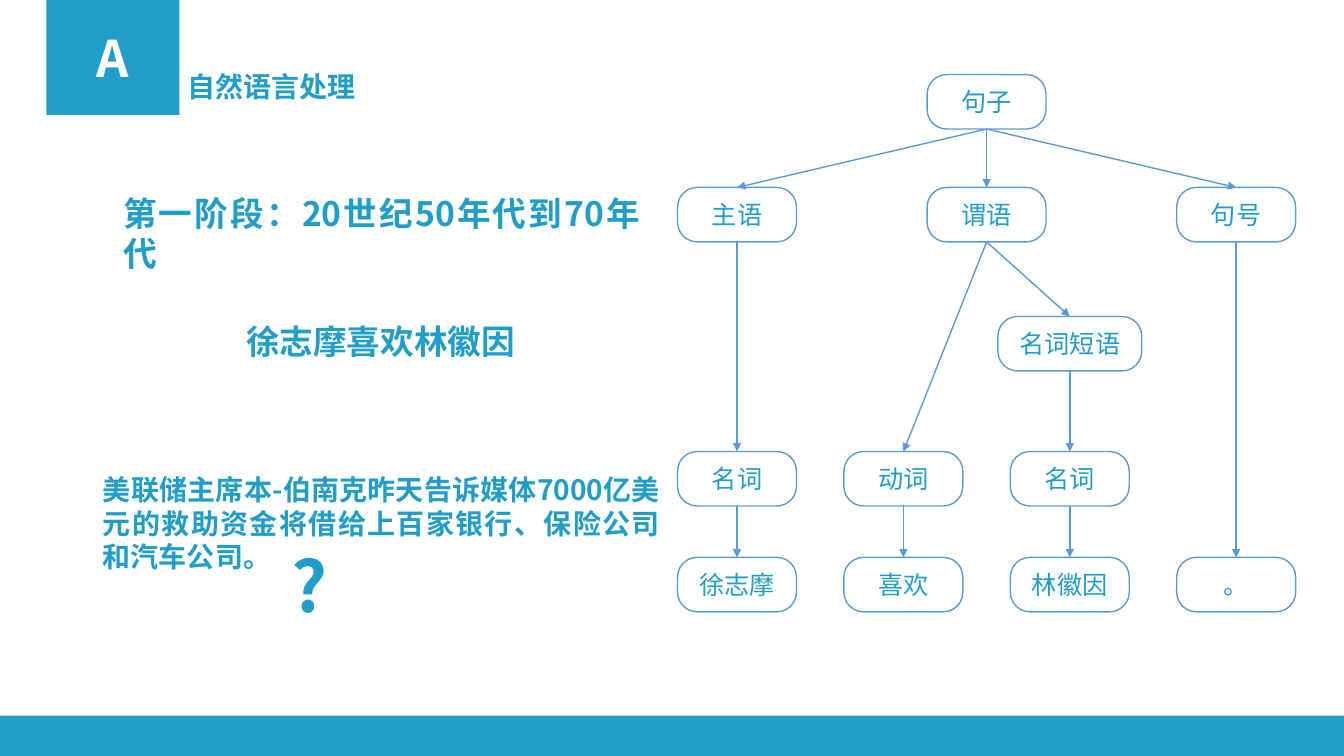
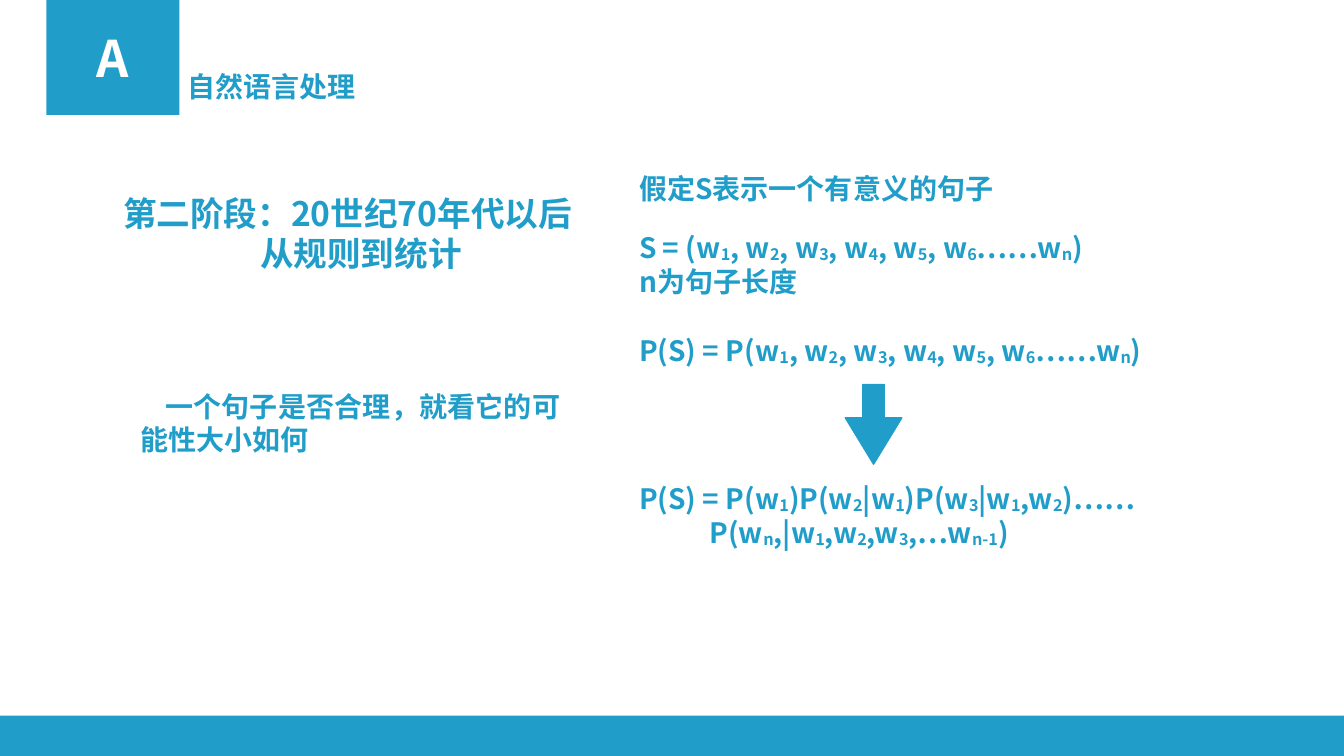
from dataclasses import dataclass

from lxml.etree import SubElement
from pptx import Presentation
from pptx.dml.color import RGBColor
from pptx.enum.shapes import MSO_CONNECTOR as Connector, MSO_SHAPE as Preset
from pptx.enum.text import MSO_ANCHOR as Anchor, MSO_AUTO_SIZE as AutoSize, PP_ALIGN as Align
from pptx.oxml.ns import qn
from pptx.util import Inches, Pt


@dataclass(frozen=True)
class Theme:
    blue: RGBColor = RGBColor(0x21, 0x9D, 0xC9)
    outline: RGBColor = RGBColor(0x5B, 0x9B, 0xD5)
    white: RGBColor = RGBColor(0xFF, 0xFF, 0xFF)
    font: str = "Noto Sans CJK SC"
    node_font: str = "Calibri"
    body: int = 20
    stage: int = 24
    badge: int = 36
    question: int = 50
    node: int = 18


theme = Theme()
presentation = Presentation()
presentation.slide_width, presentation.slide_height = Inches(13.33), Inches(7.5)


def share(left, top, width, height):
    """Turn percentages of the slide's size into lengths."""
    across, down = presentation.slide_width / 100, presentation.slide_height / 100
    return int(left * across), int(top * down), int(width * across), int(height * down)


def write(shape, lines, size=theme.body, color=theme.blue, align=Align.JUSTIFY,
          anchor=Anchor.TOP, bold=True, font=theme.font):
    """Write (text, left indent, first-line indent) lines; ~x~ lowers x."""
    frame = shape.text_frame
    settings = {"word_wrap": True, "auto_size": AutoSize.NONE, "vertical_anchor": anchor}
    settings |= {f"margin_{side}": Inches(0.05) for side in ("left", "top", "right", "bottom")}
    for name, value in settings.items():
        setattr(frame, name, value)
    for index, (text, left, first) in enumerate(lines):
        paragraph = frame.add_paragraph() if index else frame.paragraphs[0]
        properties = paragraph._p.get_or_add_pPr()
        properties.set("marL", str(Inches(left)))
        properties.set("indent", str(Inches(first)))
        SubElement(properties, qn("a:buNone"))
        paragraph.alignment, paragraph.space_before = align, Pt(0)
        for position, piece in enumerate(text.split("~")):
            run = paragraph.add_run()
            run.text = piece
            for name, value in {"size": Pt(size), "bold": bold, "name": font}.items():
                setattr(run.font, name, value)
            run.font.color.rgb = color
            run_properties = run._r.get_or_add_rPr()
            SubElement(run_properties, qn("a:ea"), typeface=theme.font)
            if position % 2:
                run_properties.set("baseline", "-6000")


# Content of each slide: stage heading, its width, and (lines, size, place) texts
sequence = "w~1~, w~2~, w~3~, w~4~, w~5~, w~6~……w~n~)"
formula_left, formula_width = 47.18, 44.33
pages = [
    ([("第一阶段：20世纪50年代到70年代", 0, 0)], 39.2, [
        ([("徐志摩喜欢林徽因", 0, 0)], theme.stage, (17.93, 41.73, 22, 7.5)),
        ([("美联储主席本-伯南克昨天告诉媒体7000亿美元的救助资金将借给上百家银行、"
           "保险公司和汽车公司。", 0, 0)], theme.body, (7.28, 61.87, 42.2, 17)),
        ([("?", 0, 0)], theme.question, (21.3, 71.07, 4.05, 12.4)),
    ]),
    ([("第二阶段：20世纪70年代以后", 0, 0), ("从规则到统计", 1.36, 0)], 34.6, [
        ([("一个句子是否合理，就看它的可能性大小如何", 0, 0.25)],
         theme.body, (10.05, 50.8, 32, 11.7)),
        ([("假定S表示一个有意义的句子", 0, 0)],
         theme.body, (formula_left, 22, formula_width, 6.5)),
        ([("S = (" + sequence, 0, 0), ("n为句子长度", 0, 0)],
         theme.body, (formula_left, 29.87, formula_width, 11)),
        ([("P(S) = P(" + sequence, 0, 0)],
         theme.body, (formula_left, 43.47, formula_width, 5.7)),
        ([("P(S) = P(w~1~)P(w~2~|w~1~)P(w~3~|w~1~,w~2~)……", 0, 0),
          ("P(w~n~,|w~1~,w~2~,w~3~,…w~n-1~)", 0.7, 0)],
         theme.body, (formula_left, 63.07, formula_width, 10.3)),
    ]),
]

slides = []
for stage_lines, stage_width, texts in pages:
    slide = presentation.slides.add_slide(presentation.slide_layouts[1])
    slides.append(slide)

    # Badge with the chapter letter
    badge = slide.shapes.add_shape(Preset.RECTANGLE, *share(3.45, 0, 9.9, 15.2))
    badge.shadow.inherit = False
    badge.fill.solid()
    badge.fill.fore_color.rgb = theme.blue
    badge.line.fill.background()
    write(badge, [("A", 0, 0)], theme.badge, theme.white, Align.CENTER, Anchor.MIDDLE)

    # Title and stage heading
    title, stage = slide.placeholders
    title.left, title.top, title.width, title.height = share(13.58, 8.53, 14.6, 6.5)
    write(title, [("自然语言处理", 0, 0)], align=Align.LEFT)
    stage.left, stage.top, stage.width, stage.height = share(8.78, 24.8, stage_width, 17)
    write(stage, stage_lines, theme.stage)

    # Running text and formulas
    for lines, size, place in texts:
        write(slide.shapes.add_textbox(*share(*place)), lines, size)

tree_slide, formula_slide = slides

# Bottom band, moved to the master so that every slide shows it
band = tree_slide.shapes.add_shape(Preset.RECTANGLE, *share(0, 94.67, 100, 5.33))
band.shadow.inherit = False
band.fill.solid()
band.fill.fore_color.rgb = theme.blue
band.line.fill.background()
presentation.slide_master.shapes.element.append(band.element)

# Parse tree: key -> (label, column, row, width)
tree_left, column_step, node_width, node_height = 54.84, 12.38, 8.85, 7.2
row_tops = [9.87, 24.8, 41.87, 59.73, 73.73]
nodes = {
    "sentence": ("句子", 1.5, 0, node_width),
    "subject": ("主语", 0, 1, node_width),
    "predicate": ("谓语", 1.5, 1, node_width),
    "period": ("句号", 3, 1, node_width),
    "phrase": ("名词短语", 2, 2, 10.7),
    "subject noun": ("名词", 0, 3, node_width),
    "verb": ("动词", 1, 3, node_width),
    "object noun": ("名词", 2, 3, node_width),
    "subject word": ("徐志摩", 0, 4, node_width),
    "verb word": ("喜欢", 1, 4, node_width),
    "object word": ("林徽因", 2, 4, node_width),
    "period mark": ("。", 3, 4, node_width),
}
boxes = {}
for key, (label, column, row, width) in nodes.items():
    left = tree_left + column * column_step - width / 2
    box = tree_slide.shapes.add_shape(
        Preset.ROUNDED_RECTANGLE, *share(left, row_tops[row], width, node_height))
    box.adjustments[0] = 0.36
    box.shadow.inherit = False
    box.fill.solid()
    box.fill.fore_color.rgb = theme.white
    box.line.color.rgb, box.line.width = theme.outline, Pt(1)
    write(box, [(label, 0, 0)], theme.node, theme.blue, Align.CENTER, Anchor.MIDDLE,
          False, theme.node_font)
    boxes[key] = box

# Arrows from each parent to its children
children = {
    "sentence": ["subject", "predicate", "period"],
    "subject": ["subject noun"],
    "predicate": ["verb", "phrase"],
    "phrase": ["object noun"],
    "subject noun": ["subject word"],
    "verb": ["verb word"],
    "object noun": ["object word"],
    "period": ["period mark"],
}
for parent, targets in children.items():
    for target in targets:
        arrow = tree_slide.shapes.add_connector(Connector.STRAIGHT, 0, 0, 0, 0)
        arrow.begin_connect(boxes[parent], 2)
        arrow.end_connect(boxes[target], 0)
        arrow.line.color.rgb, arrow.line.width = theme.outline, Pt(1)
        SubElement(arrow.line._get_or_add_ln(), qn("a:tailEnd"), type="triangle")
        SubElement(arrow.element.spPr, qn("a:effectLst"))

# Arrow between the formulas
step = formula_slide.shapes.add_shape(Preset.DOWN_ARROW, *share(62.9, 50.87, 4.2, 10.53))
step.adjustments[0], step.adjustments[1] = 0.38, 0.82
step.shadow.inherit = False
step.fill.solid()
step.fill.fore_color.rgb = theme.blue
step.line.color.rgb, step.line.width = theme.blue, Pt(1)

presentation.save("out.pptx")
